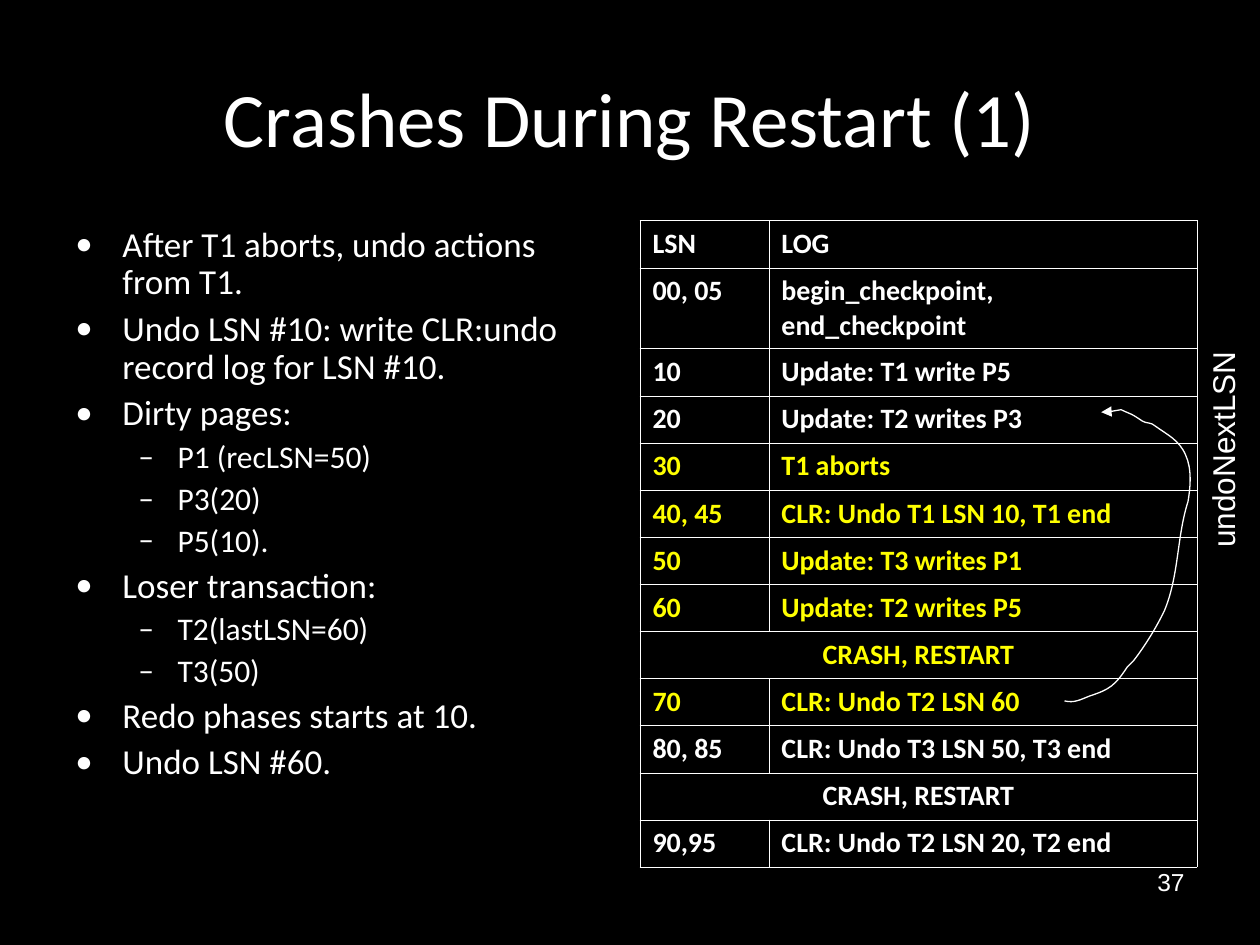
import pptx
import pptx.util
import pptx.dml.color
import pptx.enum.text
import pptx.oxml
import pptx.oxml.ns
import lxml.etree

Cm, Pt = pptx.util.Cm, pptx.util.Pt
Align = pptx.enum.text.PP_ALIGN
Anchor = pptx.enum.text.MSO_ANCHOR
Fit = pptx.enum.text.MSO_AUTO_SIZE
qn = pptx.oxml.ns.qn

WHITE, YELLOW, BLACK = "FFFFFF", "FFFF00", "000000"

POINTS = [
    (0, "After T1 aborts, undo actions from T1."),
    (0, "Undo LSN #10: write CLR:undo record log for LSN #10."),
    (0, "Dirty pages:"),
    (1, "P1 (recLSN=50)"),
    (1, "P3(20)"),
    (1, "P5(10)."),
    (0, "Loser transaction:"),
    (1, "T2(lastLSN=60)"),
    (1, "T3(50)"),
    (0, "Redo phases starts at 10."),
    (0, "Undo LSN #60."),
]
LEVELS = [("•", 0.95, 0.95, 20, 5), ("–", 2.06, 0.79, 18, 4.5)]

CRASH = "CRASH, RESTART"
LOG = [
    ("LSN", "LOG"),
    ("00, 05", "begin_checkpoint, end_checkpoint"),
    ("10", "Update: T1 write P5"),
    ("20", "Update: T2 writes P3"),
    ("30", "T1 aborts"),
    ("40, 45", "CLR: Undo T1 LSN 10, T1 end"),
    ("50", "Update: T3 writes P1"),
    ("60", "Update: T2 writes P5"),
    (CRASH,),
    ("70", "CLR: Undo T2 LSN 60"),
    ("80, 85", "CLR: Undo T3 LSN 50, T3 end"),
    (CRASH,),
    ("90,95", "CLR: Undo T2 LSN 20, T2 end"),
]
FRESH = range(4, 10)

CURVE = [
    (20, 592), (33, 584), (51, 577), (91, 564), (102, 556), (127, 518),
    (130, 513), (137, 511), (140, 505), (163, 475), (185, 439), (201, 406),
    (231, 335), (226, 257), (249, 185), (254, 155), (257, 119), (244, 91),
    (231, 61), (208, 51), (183, 33), (175, 25), (165, 28), (157, 23),
    (130, 5), (142, 13), (114, 0), (84, 5), (97, 5), (74, 5),
]


def paint(text):
    return pptx.dml.color.RGBColor.from_string(text)


def style(para, size, face="Calibri", color=WHITE, bold=False):
    for run in para.runs:
        font = run.font
        font.size, font.name, font.bold = Pt(size), face, bold
        font.color.rgb = paint(color)


def place(shape, box):
    shape.left, shape.top, shape.width, shape.height = map(Cm, box)


def head(slide, box, text):
    title = slide.shapes.title
    place(title, box)
    frame = title.text_frame
    frame.text = text
    frame.vertical_anchor = Anchor.MIDDLE
    frame.paragraphs[0].alignment = Align.CENTER
    style(frame.paragraphs[0], 44)


def mark(para, sign, left, hang):
    props = para._p.get_or_add_pPr()
    props.set("marL", str(Cm(left)))
    props.set("indent", str(-Cm(hang)))
    tint = lxml.etree.SubElement(props, qn("a:buClr"))
    lxml.etree.SubElement(tint, qn("a:srgbClr")).set("val", WHITE)
    lxml.etree.SubElement(props, qn("a:buFont")).set("typeface", "Calibri")
    lxml.etree.SubElement(props, qn("a:buChar")).set("char", sign)


def body(slide, box):
    frame = slide.shapes.add_textbox(*map(Cm, box)).text_frame
    frame.word_wrap = True
    for num, (level, text) in enumerate(POINTS):
        para = frame.add_paragraph() if num else frame.paragraphs[0]
        sign, left, hang, size, space = LEVELS[level]
        para.text = text
        para.level = level
        mark(para, sign, left, hang)
        para.line_spacing = 0.9
        para.space_before = Pt(space if num else 0)
        style(para, size)


def frame_cell(cell):
    cell.fill.background()
    props = cell._tc.get_or_add_tcPr()
    for spot, side in enumerate(("lnL", "lnR", "lnT", "lnB")):
        line = lxml.etree.Element(qn("a:" + side), w=str(Pt(0.45)))
        fill = lxml.etree.SubElement(line, qn("a:solidFill"))
        lxml.etree.SubElement(fill, qn("a:srgbClr")).set("val", WHITE)
        props.insert(spot, line)


def log_table(slide, box):
    table = slide.shapes.add_table(len(LOG), 2, *map(Cm, box)).table
    table.first_row = table.horz_banding = False
    table.columns[0].width = Cm(2.6)
    table.columns[1].width = Cm(box[2] - 2.6)
    for num, words in enumerate(LOG):
        table.rows[num].height = Cm(1.63 if num == 1 else 0.95)
        cells = list(table.rows[num].cells)
        for cell in cells:
            frame_cell(cell)
        if len(words) == 1:
            cells[0].merge(cells[1])
        for cell, text in zip(cells, words):
            para = cell.text_frame.paragraphs[0]
            para.text = text
            if len(words) == 1:
                para.alignment = Align.CENTER
            style(para, 16, color=YELLOW if num in FRESH else WHITE, bold=True)


def bend(shape):
    trail = next(shape._element.iter(qn("a:path")))
    lines = trail.findall(qn("a:lnTo"))
    for first in range(0, len(lines), 3):
        curve = lxml.etree.SubElement(trail, qn("a:cubicBezTo"))
        for line in lines[first:first + 3]:
            curve.append(line[0])
            trail.remove(line)


def arrow(slide, left, top):
    pen = slide.shapes.build_freeform(0, 587, scale=Cm(0.01))
    pen.add_line_segments(CURVE, close=False)
    shape = pen.convert_to_shape(Cm(left), Cm(top))
    bend(shape)
    shape.shadow.inherit = False
    shape.fill.background()
    shape.line.color.rgb = paint(WHITE)
    shape.line.width = Pt(0.75)
    tail = lxml.etree.SubElement(shape.line._get_or_add_ln(), qn("a:tailEnd"))
    tail.set("type", "triangle")


def label(slide, box, text, size, align=Align.LEFT):
    shape = slide.shapes.add_textbox(*map(Cm, box))
    frame = shape.text_frame
    frame.word_wrap = True
    para = frame.paragraphs[0]
    para.text = text
    para.alignment = align
    style(para, size, "Arial")
    return shape


def side_label(slide, box, text):
    shape = label(slide, box, text, 18)
    shape.rotation = 270
    shape.text_frame.word_wrap = False
    shape.text_frame.auto_size = Fit.SHAPE_TO_FIT_TEXT


def main():
    deck = pptx.Presentation()
    deck.slide_width, deck.slide_height = Cm(25.4), Cm(19.05)
    slide = deck.slides.add_slide(deck.slide_layouts.get_by_name("Title Only"))
    slide.background.fill.solid()
    slide.background.fill.fore_color.rgb = paint(BLACK)
    label(slide, (18.2, 17.35, 5.93, 1.32), "37", 14, Align.RIGHT)
    head(slide, (1.27, 0.76, 22.86, 3.18), "Crashes During Restart (1)")
    body(slide, (1.27, 4.45, 11.23, 12.57))
    log_table(slide, (12.9, 4.45, 11.23, 13.03))
    arrow(slide, 21.46, 8.26)
    side_label(slide, (22.35, 8.48, 4.6, 1.02), "undoNextLSN")
    deck.save("out.pptx")


if __name__ == "__main__":
    main()
